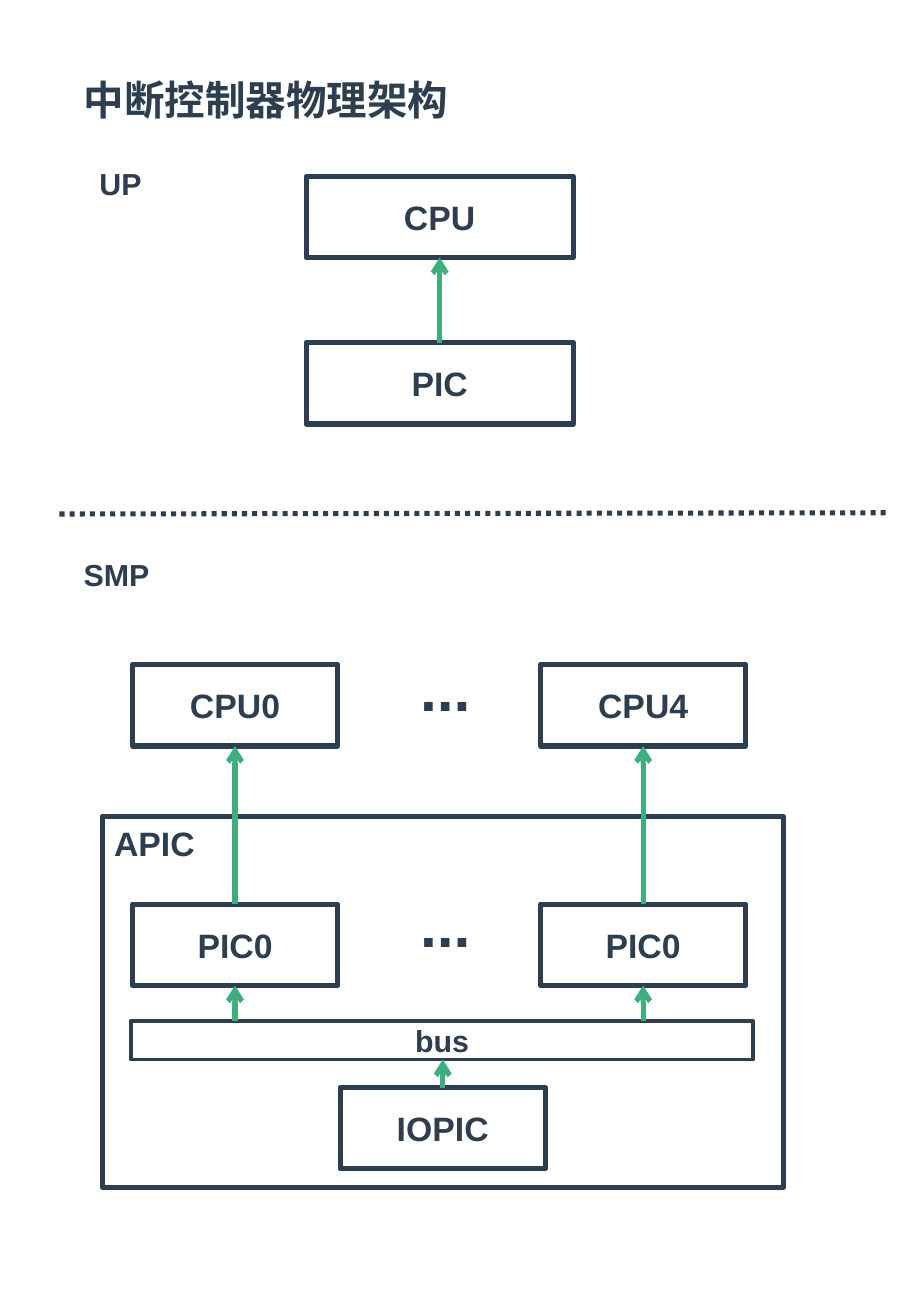
from dataclasses import dataclass
from typing import Any

from lxml.etree import SubElement
from pptx import Presentation
from pptx.dml.color import RGBColor
from pptx.enum.dml import MSO_LINE
from pptx.enum.shapes import MSO_CONNECTOR, MSO_SHAPE
from pptx.enum.text import MSO_ANCHOR, MSO_AUTO_SIZE, PP_ALIGN
from pptx.oxml.ns import qn
from pptx.util import Inches, Length, Pt

COLUMNS, ROWS = 75, 108.3
INK, GREEN = "2C3E50", "3EAF7C"
CPU_ROW, PIC_ROW = 54.7, 74.4
LEFT_CORE, RIGHT_CORE = 10.9, 44.5
CORE_WIDTH, BOX_HEIGHT = 16.9, 6.7


@dataclass(frozen=True)
class Box:
    text: str
    column: float
    row: float
    width: float = CORE_WIDTH
    height: float = BOX_HEIGHT
    size: float = 20
    line: float = 3
    align: Any = PP_ALIGN.CENTER
    anchor: Any = MSO_ANCHOR.MIDDLE

    @property
    def center(self) -> float:
        return self.column + self.width / 2

    @property
    def bottom(self) -> float:
        return self.row + self.height


@dataclass(frozen=True)
class Label:
    text: str
    column: float
    row: float
    width: float
    height: float
    size: float


def grid(cells: float) -> Length:
    return Inches(cells / 10)


def color(value: str) -> RGBColor:
    return RGBColor.from_string(value)


def apply(target: Any, values: dict[str, Any]) -> None:
    for name, value in values.items():
        setattr(target, name, value)


def place(item: Box | Label) -> list[Length]:
    return [grid(cells) for cells in (item.column, item.row, item.width, item.height)]


def write(shape: Any, text: str, size: float, align: Any, frame: dict[str, Any]) -> None:
    shape.text_frame.text = text
    apply(shape.text_frame, frame)
    paragraph = shape.text_frame.paragraphs[0]
    paragraph.alignment = align
    font = paragraph.runs[0].font
    apply(font, {"name": "Arial", "size": Pt(size), "bold": True})
    font.color.rgb = color(INK)


def fill_label(shape: Any, label: Label) -> None:
    apply(shape, dict(zip(("left", "top", "width", "height"), place(label))))
    write(shape, label.text, label.size, PP_ALIGN.LEFT, {
        "word_wrap": False,
        "auto_size": MSO_AUTO_SIZE.SHAPE_TO_FIT_TEXT,
        "vertical_anchor": MSO_ANCHOR.TOP,
    })


def draw_box(slide: Any, box: Box) -> None:
    shape = slide.shapes.add_shape(MSO_SHAPE.RECTANGLE, *place(box))
    shape.shadow.inherit = False
    shape.fill.background()
    shape.line.color.rgb = color(INK)
    shape.line.width = Pt(box.line)
    write(shape, box.text, box.size, box.align,
          {"word_wrap": True, "vertical_anchor": box.anchor})


def draw_line(slide: Any, start: tuple[float, float], end: tuple[float, float], paint: str) -> Any:
    connector = slide.shapes.add_connector(
        MSO_CONNECTOR.STRAIGHT, *(grid(cells) for cells in start + end))
    connector.line.color.rgb = color(paint)
    connector.line.width = Pt(3)
    SubElement(connector._element.spPr, qn("a:effectLst"))
    return connector


def draw_arrow(slide: Any, lower: Box, upper: Box) -> None:
    column = min(lower, upper, key=lambda box: box.width).center
    connector = draw_line(slide, (column, lower.row), (column, upper.bottom), GREEN)
    SubElement(connector.line._get_or_add_ln(), qn("a:tailEnd"), type="arrow")


def main() -> None:
    presentation = Presentation()
    apply(presentation, {"slide_width": grid(COLUMNS), "slide_height": grid(ROWS)})
    slide = presentation.slides.add_slide(presentation.slide_layouts[5])
    fill_label(slide.shapes.title, Label("中断控制器物理架构", 5.9, 5.7, 32.1, 5, 24))

    cpu = Box("CPU", 25.2, 14.5, width=22)
    pic = Box("PIC", 25.2, 28.2, width=22)
    apic = Box("APIC", 8.4, 67.2, 56.1, 30.5, align=PP_ALIGN.LEFT, anchor=MSO_ANCHOR.TOP)
    first_cpu = Box("CPU0", LEFT_CORE, CPU_ROW)
    last_cpu = Box("CPU4", RIGHT_CORE, CPU_ROW)
    first_pic = Box("PIC0", LEFT_CORE, PIC_ROW)
    last_pic = Box("PIC0", RIGHT_CORE, PIC_ROW)
    bus = Box("bus", 10.8, 84, 51.2, 3.2, size=18, line=2.25)
    iopic = Box("IOPIC", 28, 89.5)
    for box in (cpu, pic, apic, first_cpu, last_cpu, first_pic, last_pic, bus, iopic):
        draw_box(slide, box)

    labels = (
        Label("UP", 7.2, 13.1, 5.9, 4, 18),
        Label("SMP", 5.9, 45.3, 8.1, 4, 18),
        Label("...", 33.6, 53.1, 7.7, 7.1, 36),
        Label("...", 33.6, 72.5, 7.7, 7.1, 36),
    )
    for label in labels:
        fill_label(slide.shapes.add_textbox(*place(label)), label)

    links = (
        (pic, cpu),
        (first_pic, first_cpu),
        (last_pic, last_cpu),
        (bus, first_pic),
        (bus, last_pic),
        (iopic, bus),
    )
    for lower, upper in links:
        draw_arrow(slide, lower, upper)

    divider = draw_line(slide, (4.9, 42.3), (73.2, 42.2), INK)
    divider.line.dash_style = MSO_LINE.ROUND_DOT
    presentation.save("out.pptx")


if __name__ == "__main__":
    main()
